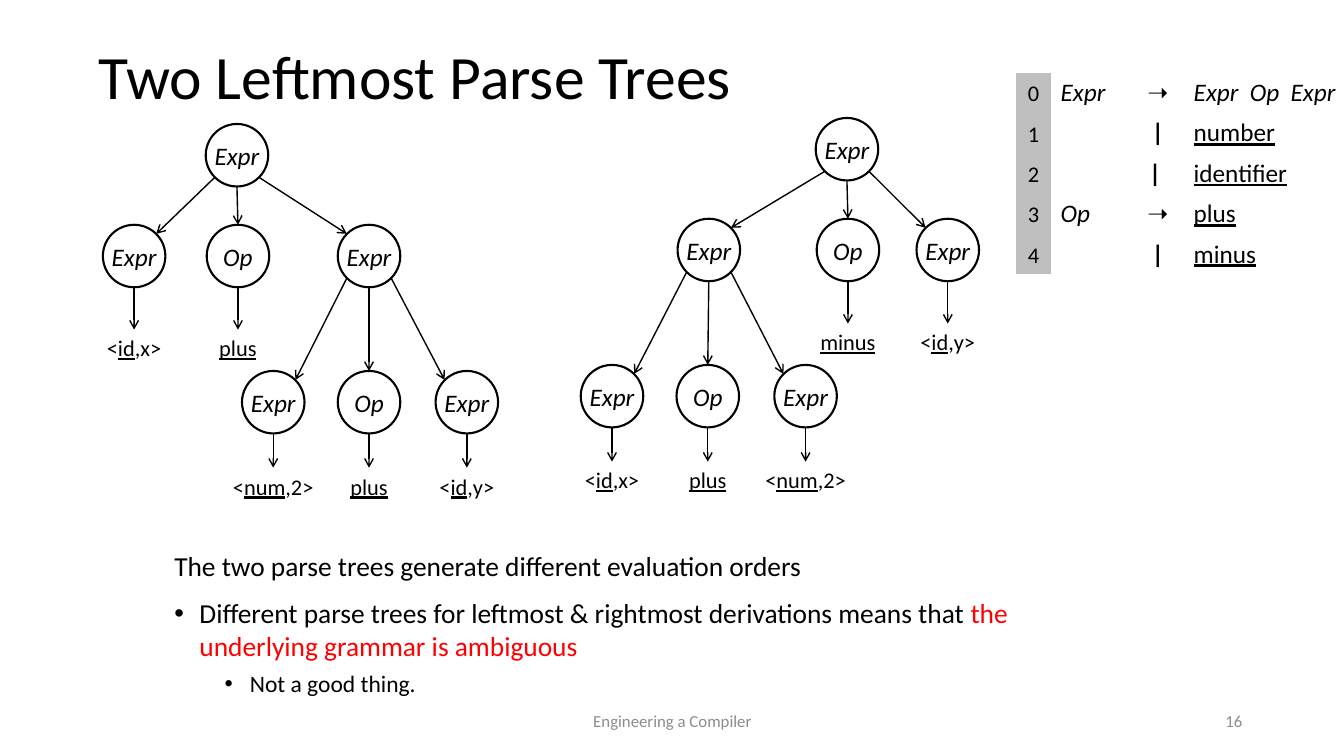
from lxml.etree import SubElement
from pptx import Presentation
from pptx.dml.color import RGBColor
from pptx.enum.shapes import MSO_CONNECTOR, MSO_SHAPE
from pptx.enum.text import MSO_ANCHOR, PP_ALIGN
from pptx.oxml.ns import qn
from pptx.util import Inches, Pt

BLACK = RGBColor(0, 0, 0)
WHITE = RGBColor(255, 255, 255)
RED = RGBColor(255, 0, 0)
GRAY = RGBColor(0x8C, 0x8C, 0x8C)
SILVER = RGBColor(0xBF, 0xBF, 0xBF)
LEFT, MID, RIGHT = PP_ALIGN.LEFT, PP_ALIGN.CENTER, PP_ALIGN.RIGHT
NO_STYLE = "{2D5ABB26-0587-4C30-8999-92F81FD0307C}"

deck = Presentation()
deck.slide_width, deck.slide_height = Inches(13.33), Inches(7.5)
slide = deck.slides.add_slide(deck.slide_layouts[6])
shapes = slide.shapes


def write(para, words, size=18, color=BLACK, accent=None, align=LEFT,
          bold=False, italic=False):
    """Fill a paragraph; parts between _ marks get the accent colour or a line below."""
    para.alignment = align
    for i, part in enumerate(words.split("_")):
        if not part:
            continue
        marked = i % 2 == 1
        run = para.add_run()
        run.text = part
        font = run.font
        font.name, font.size, font.bold, font.italic = "Calibri", Pt(size), bold, italic
        font.color.rgb = accent if marked and accent else color
        font.underline = marked and accent is None


def link(x1, y1, x2, y2):
    """Draw an arrow from the first point to the second."""
    line = shapes.add_connector(MSO_CONNECTOR.STRAIGHT, *map(Inches, (x1, y1, x2, y2)))
    line.line.color.rgb = BLACK
    line.line.width = Pt(1)
    SubElement(line.line._get_or_add_ln(), qn("a:tailEnd"), type="arrow")
    SubElement(line._element.spPr, qn("a:effectLst"))


# Title, footer and page number
for box, words, size, color, align in (
    ((0.88, 0.06, 11.5, 1.45), "Two Leftmost Parse Trees", 44, BLACK, LEFT),
    ((4.42, 6.95, 4.5, 0.4), "Engineering a Compiler", 12, GRAY, MID),
    ((9.42, 6.95, 3, 0.4), "16", 12, GRAY, RIGHT),
):
    frame = shapes.add_textbox(*map(Inches, box)).text_frame
    frame.word_wrap = True
    frame.vertical_anchor = MSO_ANCHOR.MIDDLE
    write(frame.paragraphs[0], words, size, color, align=align)
    if size == 44:
        frame.paragraphs[0].line_spacing = 0.9

# Conclusions
frame = shapes.add_textbox(*map(Inches, (1.63, 5.4, 9.55, 1.6))).text_frame
frame.word_wrap = True
for i, (words, size, gap, indent) in enumerate((
    ("The two parse trees generate different evaluation orders", 19.6, 10, 0),
    ("Different parse trees for leftmost & rightmost derivations means that "
     "_the underlying grammar is ambiguous_", 19.6, 10, 0.25),
    ("Not a good thing.", 16.8, 5, 0.75),
)):
    para = frame.add_paragraph() if i else frame.paragraphs[0]
    write(para, words, size, accent=RED)
    para.level = max(i - 1, 0)
    para.space_before = Pt(gap)
    if indent:
        props = para._p.get_or_add_pPr()
        props.set("marL", str(Inches(indent)))
        props.set("indent", str(Inches(-0.25)))
        SubElement(props, qn("a:buFont"), typeface="Arial")
        SubElement(props, qn("a:buChar"), char="•")

# Parse trees: each node is (centre x, level, name, parent x, leaf)
RAD, DIAG = 0.31, 0.22
LEVELS = (1.54, 2.54, 3.99)
LEAVES = (None, 3.27, 4.64)
TREES = (
    (0, (
        (2.35, 0, "Expr", None, None),
        (1.33, 1, "Expr", 2.35, "<_id_,x>"),
        (2.36, 1, "Op", 2.35, "_plus_"),
        (3.66, 1, "Expr", 2.35, None),
        (2.71, 2, "Expr", 3.66, "<_num_,2>"),
        (3.66, 2, "Op", 3.66, "_plus_"),
        (4.63, 2, "Expr", 3.66, "<_id_,y>"),
    )),
    (-0.06, (
        (8.4, 0, "Expr", None, None),
        (7.03, 1, "Expr", 8.4, None),
        (8.41, 1, "Op", 8.4, "_minus_"),
        (9.4, 1, "Expr", 8.4, "<_id_,y>"),
        (6.07, 2, "Expr", 7.03, "<_id_,x>"),
        (7.02, 2, "Op", 7.03, "_plus_"),
        (7.99, 2, "Expr", 7.03, "<_num_,2>"),
    )),
)
for shift, nodes in TREES:
    for x, level, name, root, leaf in nodes:
        y = LEVELS[level] + shift
        node = shapes.add_shape(MSO_SHAPE.OVAL, *map(
            Inches, (x - RAD, y - RAD, 2 * RAD, 2 * RAD)))
        node.shadow.inherit = False
        node.fill.solid()
        node.fill.fore_color.rgb = WHITE
        node.line.color.rgb = BLACK
        node.line.width = Pt(1.5)
        frame = node.text_frame
        frame.word_wrap = False
        frame.vertical_anchor = MSO_ANCHOR.MIDDLE
        write(frame.paragraphs[0], name, align=MID, italic=True)
        if root:
            top = LEVELS[level - 1] + shift
            if abs(x - root) < 0.1:
                link(root, top + RAD, x, y - RAD)
            else:
                side = DIAG if x > root else -DIAG
                link(root + side, top + DIAG, x - side, y - DIAG)
        if leaf:
            end = LEAVES[level] + shift
            link(x, y + RAD, x, end)
            frame = shapes.add_textbox(*map(Inches, (x - 0.55, end, 1.1, 0.37))).text_frame
            frame.word_wrap = True
            write(frame.paragraphs[0], leaf, 16, align=MID)

# Grammar
RULES = (
    ("Expr", "➝", "Expr  Op  Expr"),
    ("", "|", "_number_"),
    ("", "| ", "_identifier_"),
    ("Op", "➝", "_plus_"),
    ("", "|", "_minus_"),
)
COLS = (0.34, 0.81, 0.51, 1.82)
ROW = 0.4
grid = shapes.add_table(len(RULES), len(COLS), *map(
    Inches, (10.08, 0.72, sum(COLS), ROW * len(RULES)))).table
grid.first_row = grid.horz_banding = False
grid._tbl.tblPr.find(qn("a:tableStyleId")).text = NO_STYLE
for col, width in zip(grid.columns, COLS):
    col.width = Inches(width)
for r, (head, sign, body) in enumerate(RULES):
    looks = (
        (str(r), dict(size=16, align=MID)),
        (head, dict(italic=True)),
        (sign, dict(bold=True, align=MID)),
        (body, dict(italic=r == 0)),
    )
    for c, (words, look) in enumerate(looks):
        cell = grid.cell(r, c)
        write(cell.text_frame.paragraphs[0], words, **look)
        if c:
            cell.fill.background()
        else:
            cell.fill.solid()
            cell.fill.fore_color.rgb = SILVER
            cell.vertical_anchor = MSO_ANCHOR.BOTTOM
            cell.margin_left = cell.margin_right = Inches(0.05)

deck.save("out.pptx")
